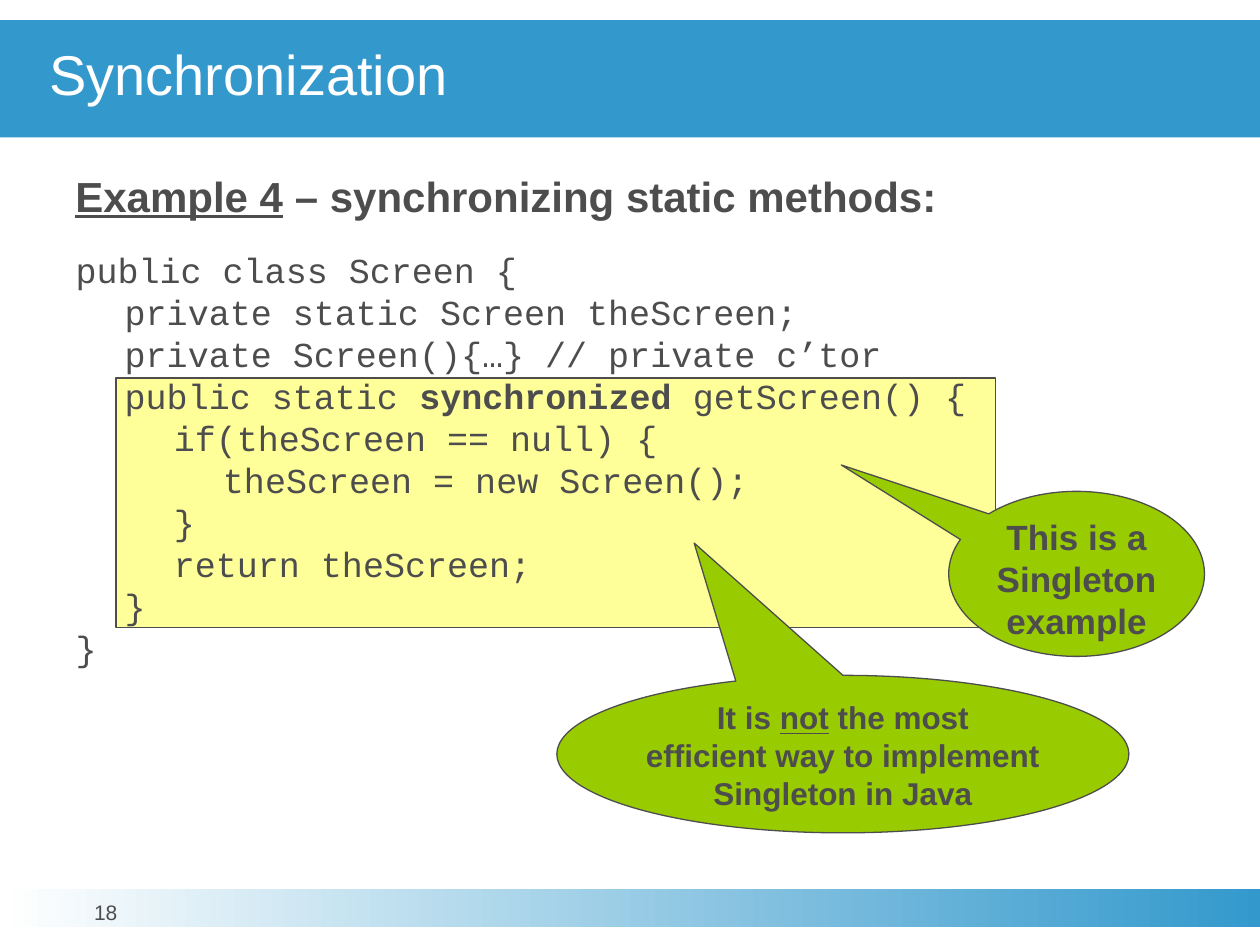
"""Build the slide on synchronizing static methods, with code and two callouts."""
from lxml import etree
from pptx import Presentation
from pptx.dml.color import RGBColor
from pptx.enum.shapes import MSO_SHAPE
from pptx.enum.text import MSO_ANCHOR, PP_ALIGN
from pptx.oxml.ns import qn
from pptx.util import Inches, Pt

RECTANGLE = MSO_SHAPE.RECTANGLE
CALLOUT = MSO_SHAPE.OVAL_CALLOUT
LEFT, CENTER = PP_ALIGN.LEFT, PP_ALIGN.CENTER
TOP, MIDDLE = MSO_ANCHOR.TOP, MSO_ANCHOR.MIDDLE

GRAY, WHITE, BLUE = "4D4D4D", "FFFFFF", "3399CC"
YELLOW, GREEN = "FFFF99", "99CC00"
INDENT = 0.39


def color(value):
    """Return the colour for a hex string."""
    return RGBColor.from_string(value)


def write(paragraph, runs, font_color=GRAY, **formats):
    """Add runs of (text, extra formats) to a paragraph."""
    for text, extra in runs:
        if text == "\n":
            paragraph.add_line_break()
            continue
        run = paragraph.add_run()
        run.text = text
        run.font.color.rgb = color(font_color)
        for name, value in {"name": "Arial", **formats, **extra}.items():
            setattr(run.font, name, value)


presentation = Presentation()
presentation.slide_width, presentation.slide_height = Inches(10), Inches(7.5)
slide = presentation.slides.add_slide(presentation.slide_layouts[5])
shapes = slide.shapes
no_margins = dict.fromkeys(["margin_left", "margin_top", "margin_right", "margin_bottom"], 0)

footer_band = shapes.add_shape(RECTANGLE, Inches(0), Inches(7.06), Inches(10), Inches(0.3))
footer_band.shadow.inherit = False
footer_band.line.fill.background()
footer_band.fill.gradient()
footer_band.fill.gradient_angle = 0
for stop, position, value in zip(footer_band.fill.gradient_stops, (0, 1), (WHITE, BLUE)):
    stop.position = position
    stop.color.rgb = color(value)

highlight = shapes.add_shape(RECTANGLE, Inches(0.92), Inches(3), Inches(6.98), Inches(1.98))
singleton_callout = shapes.add_shape(CALLOUT, Inches(7.53), Inches(3.9), Inches(2.03), Inches(1.31))
efficiency_callout = shapes.add_shape(CALLOUT, Inches(4.42), Inches(5.36), Inches(4.54), Inches(1.25))
for shape, fill in ((highlight, YELLOW), (singleton_callout, GREEN), (efficiency_callout, GREEN)):
    shape.shadow.inherit = False
    shape.fill.solid()
    shape.fill.fore_color.rgb = color(fill)
    shape.line.color.rgb = color(GRAY)
    shape.line.width = Pt(0.75)

callouts = [
    (singleton_callout, (-0.92, -0.66), 20, [("This is a Singleton example", {})]),
    (efficiency_callout, (-0.26, -1.34), 18, [
        ("It is ", {}), ("not", {"underline": True}), (" the most", {}), ("\n", {}),
        ("efficient way to implement Singleton in Java", {}),
    ]),
]
for shape, pointer, size, runs in callouts:
    for index, value in enumerate(pointer):
        shape.adjustments[index] = value
    for name, value in {**no_margins, "word_wrap": True, "vertical_anchor": TOP}.items():
        setattr(shape.text_frame, name, value)
    paragraph = shape.text_frame.paragraphs[0]
    paragraph.alignment = CENTER
    write(paragraph, runs, size=Pt(size), bold=True)

title = shapes.title
title.left, title.top, title.width, title.height = Inches(0), Inches(0.16), Inches(10), Inches(0.93)
title.fill.solid()
title.fill.fore_color.rgb = color(BLUE)
for name, value in {**no_margins, "margin_left": Inches(INDENT), "vertical_anchor": MIDDLE}.items():
    setattr(title.text_frame, name, value)
paragraph = title.text_frame.paragraphs[0]
paragraph.alignment = LEFT
paragraph.line_spacing = 0.85
write(paragraph, [("Synchronization", {})], WHITE, size=Pt(32))

heading = shapes.add_textbox(Inches(0.5), Inches(1.3), Inches(9), Inches(0.52))
heading.text_frame.word_wrap = True
write(heading.text_frame.paragraphs[0],
      [("Example 4", {"underline": True}), (" – synchronizing static methods:", {})],
      size=Pt(24), bold=True)

code_lines = [
    [("public class Screen {", {})],
    [("\tprivate static Screen theScreen;", {})],
    [("\tprivate Screen(){…} // private c’tor", {})],
    [("\tpublic static ", {}), ("synchronized", {"bold": True}), (" getScreen() {", {})],
    [("\t\tif(theScreen == null) {", {})],
    [("\t\t\ttheScreen = new Screen();", {})],
    [("\t\t}", {})],
    [("\t\treturn theScreen;", {})],
    [("\t}", {})],
    [("}", {})],
]
code = shapes.add_textbox(Inches(0.6), Inches(1.97), Inches(8.53), Inches(3.33))
for name, value in {**no_margins, "word_wrap": True}.items():
    setattr(code.text_frame, name, value)
for index, runs in enumerate(code_lines):
    paragraph = code.text_frame.add_paragraph() if index else code.text_frame.paragraphs[0]
    tabs = etree.SubElement(paragraph._p.get_or_add_pPr(), qn("a:tabLst"))
    for level in (1, 2, 3):
        etree.SubElement(tabs, qn("a:tab"), pos=str(Inches(INDENT * level)), algn="l")
    write(paragraph, runs, name="Courier New", size=Pt(20))

page_number = shapes.add_textbox(Inches(0.31), Inches(7.16), Inches(1.06), Inches(0.31))
for name, value in {**no_margins, "word_wrap": True}.items():
    setattr(page_number.text_frame, name, value)
paragraph = page_number.text_frame.paragraphs[0]
paragraph.alignment = CENTER
paragraph.line_spacing = Pt(13)
write(paragraph, [("18", {})], size=Pt(12))

presentation.save("out.pptx")
